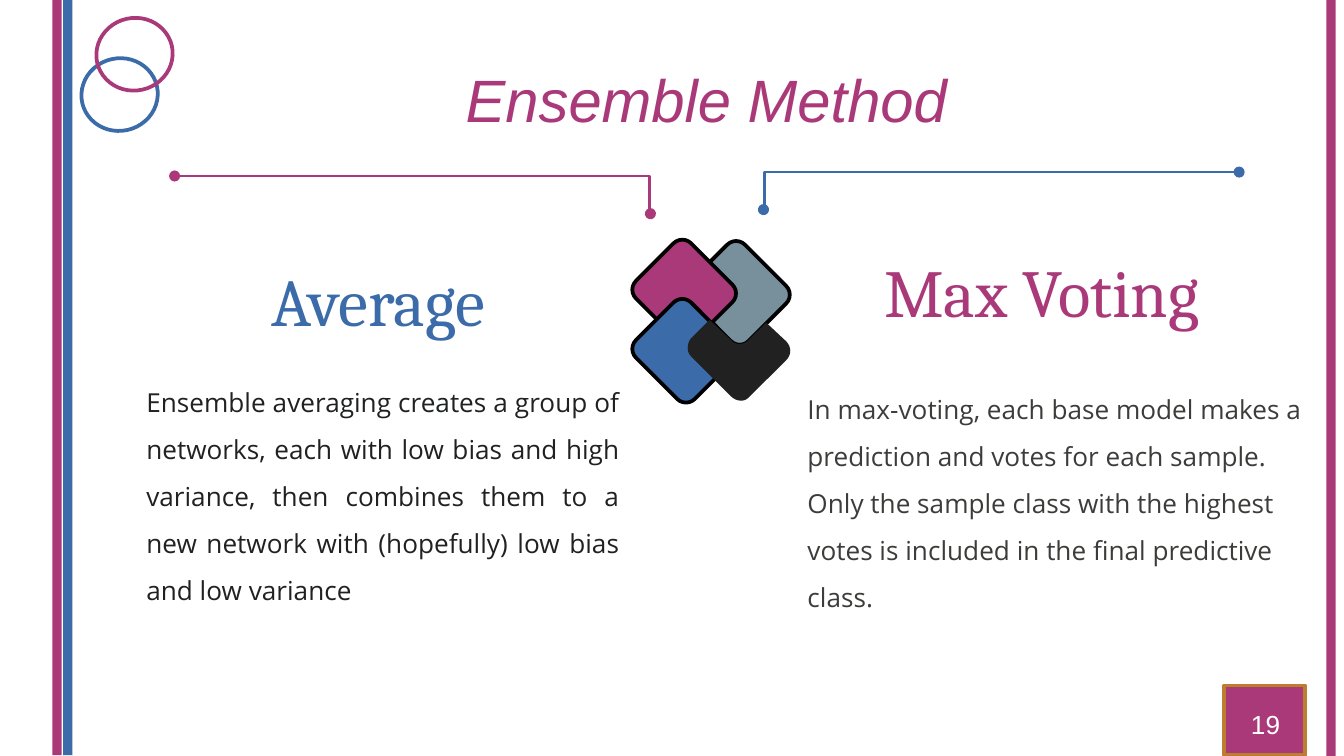
from lxml import etree
from pptx import Presentation
from pptx.dml.color import RGBColor
from pptx.enum import shapes, text
from pptx.oxml.ns import qn
from pptx.util import Pt

COLORS = {
    "plum": "AA397A", "blue": "3B6CA9", "slate": "78909C", "dark": "212121",
    "black": "000000", "gold": "BD7F2F", "white": "FFFFFF",
    "ink": "202122", "gray": "3C3C3B",
}
SHAPE = shapes.MSO_SHAPE
ALIGN = text.PP_ALIGN

# Content: text, box (left, top, width, height), font, size, color, options
TITLE = ("Ensemble Method ", (47.5, 21.6, 671, 57.6), "Arial", 32, "plum",
         {"align": ALIGN.CENTER, "italic": True, "inset": 7.2,
          "anchor": text.MSO_ANCHOR.BOTTOM})
TEXTS = [
    ("Average", (138.2, 135.4, 173.5, 51), "Cambria", 36, "blue", {}),
    ("Max Voting", (466.6, 130.3, 360, 51), "Cambria", 36, "plum", {}),
    ("Ensemble averaging creates a group of networks, each with low bias and "
     "high variance, then combines them to a new network with (hopefully) low "
     "bias and low variance",
     (71.3, 195.1, 267.8, 131), "Open Sans", 14, "ink",
     {"align": ALIGN.JUSTIFY, "spacing": 1.5}),
    ("In max-voting, each base model makes a prediction and votes for each "
     "sample. Only the sample class with the highest votes is included in the "
     "final predictive class.",
     (425.5, 198.7, 283, 106), "Open Sans", 14, "gray", {"spacing": 1.5}),
]
PAGE_NUMBER = ("19", (663.1, 375.8, 36, 24.5), "Arial", 14, "white", {})

BARS = [(28.1, -1.4, "plum"), (33.8, -1.4, "blue"), (710.6, 0, "plum")]
RINGS = [(44.6, 30.2, "blue"), (52.6, 8.6, "plum")]
TILES = [(374.4, 134.6, "slate"), (345.6, 133.9, "plum"), (345.6, 165.6, "blue")]
# Dark tile outline: two points are a line's end, six are a curve's
DARK_START = (380.2, 171.4)
DARK_EDGES = [
    (391.7, 182.2), (393.8, 185, 398.2, 185, 401, 182.2),
    (410.4, 172.8), (421.2, 182.9),
    (424.1, 185.8, 424.1, 190.1, 421.2, 193),
    (401, 213.1), (398.9, 215.3, 394.6, 215.3, 391.7, 212.4),
    (370.1, 190.8), (367.9, 188.6, 367.9, 184.3, 370.1, 181.4),
]
# Elbow lines run from the inner end up and out to the outer end
ELBOWS = [((409, 112.3), (663.8, 92.2), "blue"),
          ((348.5, 114.5), (93.6, 94.3), "plum")]


def rgb(name):
    return RGBColor.from_string(COLORS[name])


def style(shape, fill=None, line=None):
    shape.shadow.inherit = False
    if fill:
        shape.fill.solid()
        shape.fill.fore_color.rgb = rgb(fill)
    else:
        shape.fill.background()
    if line:
        shape.line.color.rgb = rgb(line)
        shape.line.width = Pt(2)
    else:
        shape.line.fill.background()


def add_block(page, kind, box, fill=None, line=None, rotation=0):
    shape = page.shapes.add_shape(kind, *map(Pt, box))
    shape.rotation = rotation
    style(shape, fill, line)
    return shape


def add_text(page, words, box, font, size, color, options):
    frame = page.shapes.add_textbox(*map(Pt, box)).text_frame
    frame.word_wrap = True
    frame.vertical_anchor = options.get("anchor", text.MSO_ANCHOR.TOP)
    if "inset" in options:
        frame.margin_top = frame.margin_bottom = Pt(options["inset"])
    para = frame.paragraphs[0]
    para.text = words
    para.alignment = options.get("align", ALIGN.LEFT)
    para.line_spacing = options.get("spacing")
    para.font.name = font
    para.font.size = Pt(size)
    para.font.italic = options.get("italic")
    para.font.color.rgb = rgb(color)


def curve_points(start, edge, steps=8):
    points = [start, edge[:2], edge[2:4], edge[4:]]
    for step in range(1, steps + 1):
        t = step / steps
        weights = ((1 - t) ** 3, 3 * t * (1 - t) ** 2, 3 * t * t * (1 - t), t ** 3)
        yield tuple(sum(w * p[axis] for w, p in zip(weights, points))
                    for axis in (0, 1))


def add_dark_tile(page):
    outline = [DARK_START]
    for edge in DARK_EDGES:
        outline += [edge] if len(edge) == 2 else curve_points(outline[-1], edge)
    points = [(Pt(x), Pt(y)) for x, y in outline]
    builder = page.shapes.build_freeform(*points[0])
    builder.add_line_segments(points[1:], close=True)
    style(builder.convert_to_shape(), "dark")


def add_elbow(page, start, end, color):
    elbow = page.shapes.add_connector(
        shapes.MSO_CONNECTOR.ELBOW, *map(Pt, start + end))
    elbow.line.color.rgb = rgb(color)
    elbow.line.width = Pt(1.5)
    properties = elbow._element.spPr
    # Bend right at the start of the line
    guides = properties.find(qn("a:prstGeom")).get_or_add_avLst()
    etree.SubElement(guides, qn("a:gd"), name="adj1", fmla="val 200")
    line = properties.find(qn("a:ln"))
    for tip in ("a:headEnd", "a:tailEnd"):
        etree.SubElement(line, qn(tip), type="oval")
    etree.SubElement(properties, qn("a:effectLst"))


def main():
    deck = Presentation()
    deck.slide_width, deck.slide_height = Pt(720), Pt(405)
    page = deck.slides.add_slide(deck.slide_layouts[6])

    add_text(page, *TITLE)

    # Side bars and corner rings
    for left, top, color in BARS:
        add_block(page, SHAPE.RECTANGLE, (left, top, 5, 406), color)
    for left, top, color in RINGS:
        add_block(page, SHAPE.OVAL, (left, top, 38.9, 41), line=color,
                  rotation=77.4)

    # Central tiles
    for left, top, color in TILES:
        tile = add_block(page, SHAPE.ROUNDED_RECTANGLE, (left, top, 41.8, 44.6),
                         color, "black", 315)
        tile.adjustments[0] = 0.16
    add_dark_tile(page)

    # Elbow lines and the two columns
    for elbow in ELBOWS:
        add_elbow(page, *elbow)
    for item in TEXTS:
        add_text(page, *item)

    # Page number
    add_block(page, SHAPE.RECTANGLE, (655.9, 367.2, 43.2, 37.4), "plum", "gold")
    add_text(page, *PAGE_NUMBER)

    deck.save("out.pptx")


if __name__ == "__main__":
    main()
